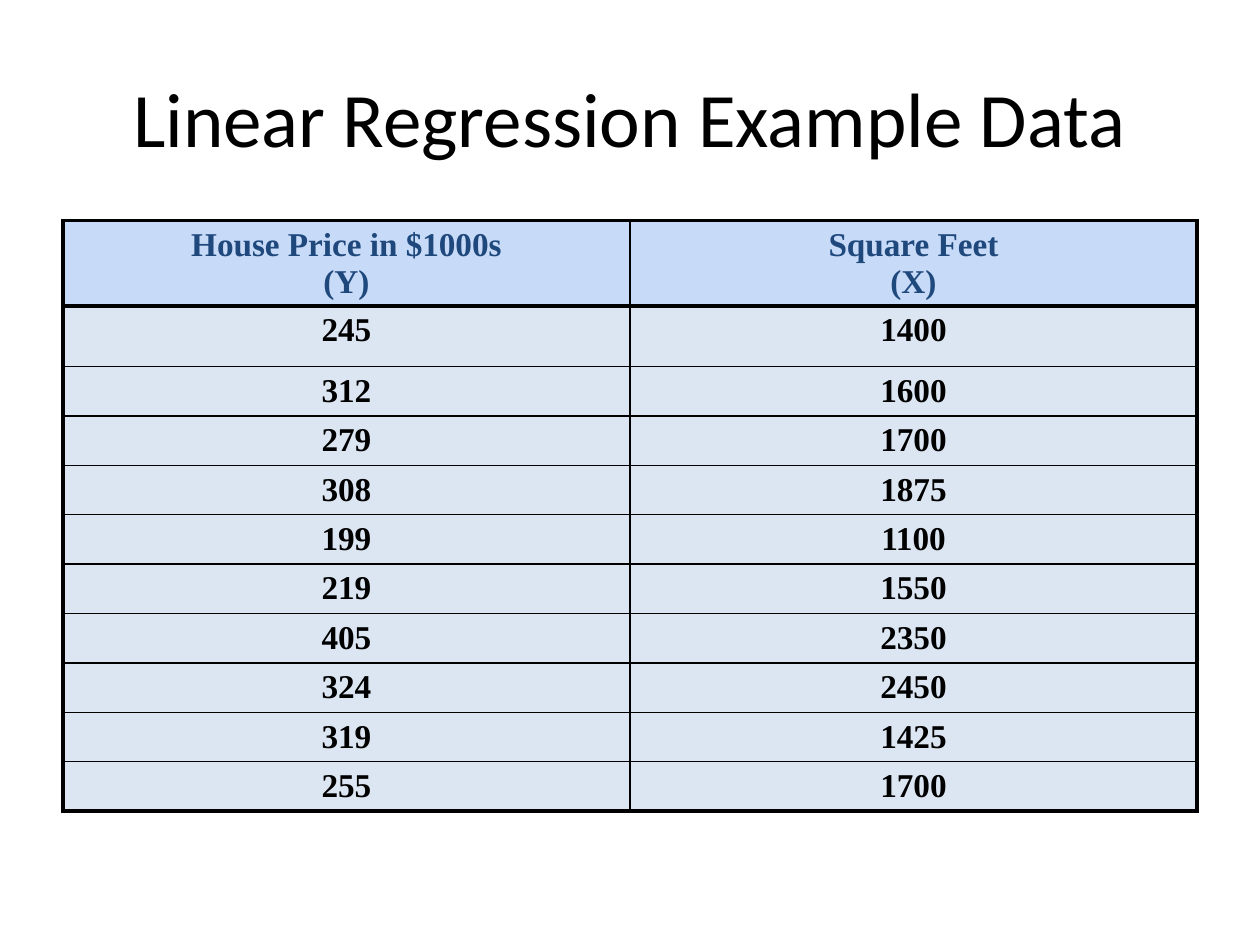
from lxml import etree
from pptx import Presentation
from pptx.dml.color import RGBColor
from pptx.enum.text import MSO_ANCHOR, PP_ALIGN
from pptx.oxml.ns import qn
from pptx.util import Inches, Pt

CENTER = PP_ALIGN.CENTER
MIDDLE, TOP = MSO_ANCHOR.MIDDLE, MSO_ANCHOR.TOP
TITLE_ONLY = 5

HEADERS = [["House Price in $1000s", "(Y)"], ["Square Feet", "(X)"]]
HOUSES = [
    (245, 1400), (312, 1600), (279, 1700), (308, 1875), (199, 1100),
    (219, 1550), (405, 2350), (324, 2450), (319, 1425), (255, 1700),
]
ROW_HEIGHTS = [0.67, 0.48] + [0.37] * 9


def color(value):
    """Turn a hex string into a colour."""
    return RGBColor.from_string(value)


class SlideBuilder:
    """Holds the style and the current slide."""

    title_font, table_font = "Calibri", "Times New Roman"
    black, header_text = "000000", "1F497D"
    header_fill, body_fill = "C7DAF7", "DCE6F2"
    thick, thin = 2.25, 1

    def __init__(self, slide):
        """Keep the slide to build on."""
        self.slide = slide

    def add_run(self, paragraph, text, size, font, text_color, bold=False):
        """Add one formatted run to a centred paragraph."""
        paragraph.alignment = CENTER
        run = paragraph.add_run()
        run.text = text
        run.font.size, run.font.name, run.font.bold = Pt(size), font, bold
        run.font.color.rgb = color(text_color)

    def add_title(self, text, left, top, width, height):
        """Place and fill the title placeholder."""
        title = self.slide.shapes.title
        title.left, title.top = Inches(left), Inches(top)
        title.width, title.height = Inches(width), Inches(height)
        title.text_frame.vertical_anchor = MIDDLE
        self.add_run(title.text_frame.paragraphs[0], text, 44, self.title_font, self.black)

    def add_borders(self, cell, widths):
        """Draw the left, right, top and bottom borders of a cell."""
        properties = cell._tc.get_or_add_tcPr()
        for side, width in zip("LRTB", widths):
            line = etree.SubElement(properties, qn(f"a:ln{side}"), w=str(int(Pt(width))))
            fill = etree.SubElement(line, qn("a:solidFill"))
            etree.SubElement(fill, qn("a:srgbClr"), val=self.black)

    def fill_cell(self, cell, lines, is_header, border_widths):
        """Format one cell and write its lines."""
        self.add_borders(cell, border_widths)
        cell.fill.solid()
        cell.fill.fore_color.rgb = color(self.header_fill if is_header else self.body_fill)
        cell.margin_left = cell.margin_right = Inches(0.12)
        cell.margin_top = cell.margin_bottom = Inches(0.05)
        cell.vertical_anchor = MIDDLE if is_header else TOP
        text_color = self.header_text if is_header else self.black
        for index, text in enumerate(lines):
            if index == 0:
                paragraph = cell.text_frame.paragraphs[0]
            else:
                paragraph = cell.text_frame.add_paragraph()
                paragraph.space_before = Pt(3.8)
                paragraph.line_spacing = 0.8
            self.add_run(paragraph, text, 19, self.table_font, text_color, True)

    def add_table(self, rows, row_heights, left, top, width):
        """Add a table with a thick frame and a thick rule under its header."""
        row_count, column_count = len(rows), len(rows[0])
        table = self.slide.shapes.add_table(
            row_count, column_count, Inches(left), Inches(top),
            Inches(width), Inches(sum(row_heights))).table
        for column in table.columns:
            column.width = Inches(width / column_count)
        for row_index, (row, height) in enumerate(zip(rows, row_heights)):
            table.rows[row_index].height = Inches(height)
            for column_index, lines in enumerate(row):
                thick_sides = (
                    column_index == 0,
                    column_index == column_count - 1,
                    row_index <= 1,
                    row_index in (0, row_count - 1),
                )
                widths = [self.thick if side else self.thin for side in thick_sides]
                self.fill_cell(table.cell(row_index, column_index), lines, row_index == 0, widths)


def main():
    """Build and save the slide."""
    presentation = Presentation()
    presentation.slide_width, presentation.slide_height = Inches(10), Inches(7.5)
    slide = presentation.slides.add_slide(presentation.slide_layouts[TITLE_ONLY])
    builder = SlideBuilder(slide)
    builder.add_title("Linear Regression Example Data", 0.5, 0.3, 9, 1.25)
    rows = [HEADERS] + [[[str(value)] for value in house] for house in HOUSES]
    builder.add_table(rows, ROW_HEIGHTS, 0.5, 1.75, 9)
    presentation.save("out.pptx")


main()
